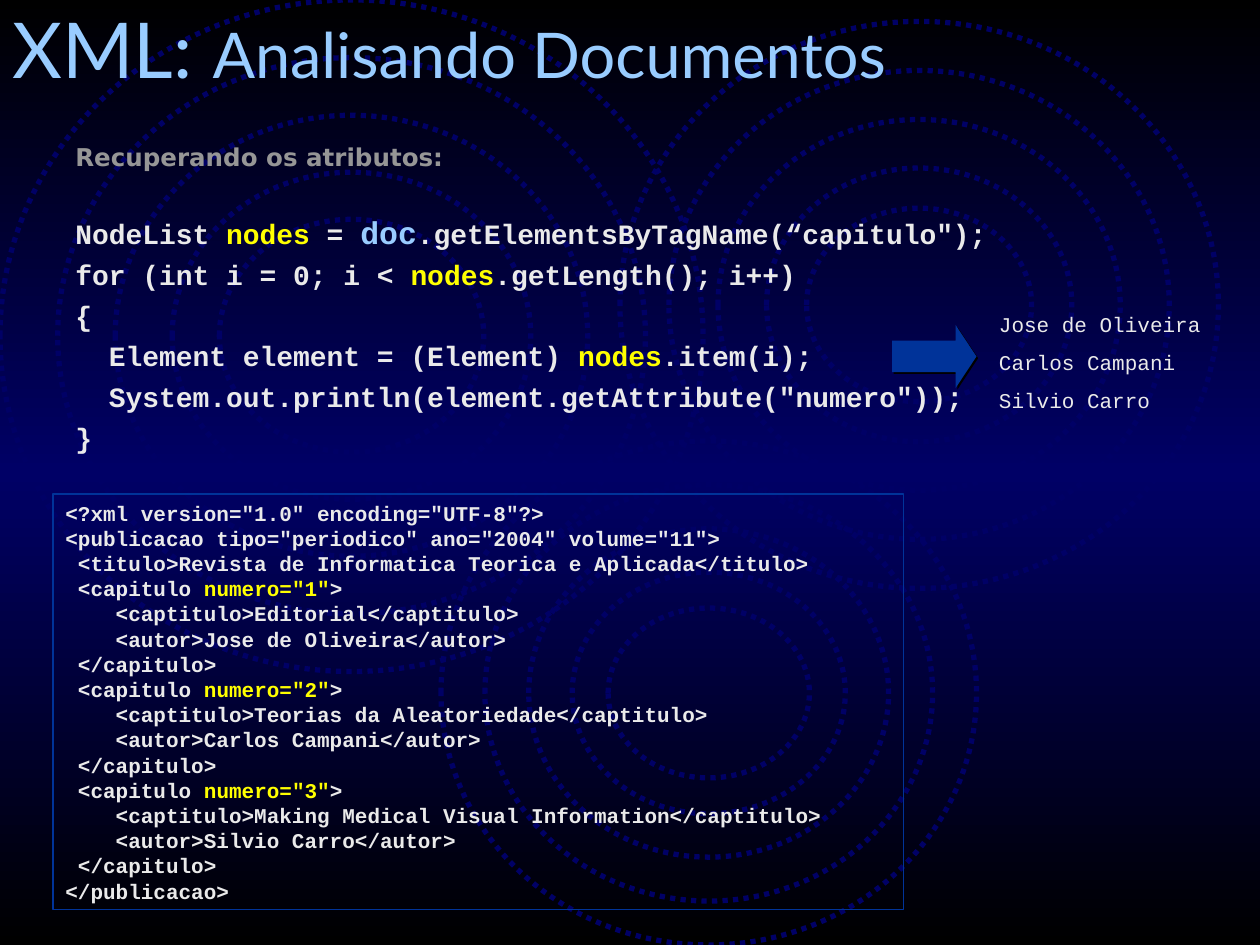
from copy import deepcopy

from lxml import etree
from pptx import Presentation
from pptx.dml.color import RGBColor
from pptx.enum.dml import MSO_LINE
from pptx.enum.shapes import MSO_SHAPE as SHAPE
from pptx.enum.text import MSO_ANCHOR, PP_ALIGN
from pptx.oxml.ns import qn
from pptx.util import Inches, Pt

NAVY, BLUE, SKY = "000066", "003399", "99CCFF"
WHITE, YELLOW, GRAY = "EAEAEA", "FFFF00", "969696"
MONO = "Courier New"


def rgb(value):
    return RGBColor.from_string(value)


def write_lines(tf, lines, size, bold=False, before=0, first_before=0):
    """Write code lines; text between bars is yellow, and doc is large and light blue."""
    for i, line in enumerate(lines):
        p = tf.paragraphs[0] if i == 0 and not tf.text else tf.add_paragraph()
        p.alignment = PP_ALIGN.LEFT
        p.space_before = Pt(before if i else first_before)
        p.line_spacing = Pt(size * 1.2)
        p.font.name, p.font.size, p.font.bold = MONO, Pt(size), bold
        p.font.color.rgb = rgb(WHITE)
        for j, part in enumerate(line.split("|")):
            r = p.add_run()
            r.text = part
            if part == "doc":
                r.font.size = Pt(18)
                r.font.color.rgb = rgb(SKY)
            elif j % 2:
                r.font.color.rgb = rgb(YELLOW)


prs = Presentation()
prs.slide_width, prs.slide_height = Inches(10), Inches(7.5)
s = prs.slides.add_slide(prs.slide_layouts[6])

# Background: black, navy in the middle, black
fill = s.background.fill
fill.gradient()
fill.gradient_angle = 270
stop_list = s.element.find(".//" + qn("a:gsLst"))
stop_list.append(deepcopy(stop_list[-1]))
for stop, color, position in zip(fill.gradient_stops, ("000000", NAVY, "000000"), (0, 0.5, 1)):
    stop.color.rgb = rgb(color)
    stop.position = position

# Concentric dotted rings, inset by a share of the outer width
for x, y, w, h in ((0, 0, 5.58, 5.33), (3.5, 3.5, 4.25, 4), (4.92, 0.17, 4.75, 4.5)):
    for share in (0, 0.082, 0.164, 0.245, 0.312):
        inset = w * share
        ring = s.shapes.add_shape(SHAPE.OVAL, Inches(x + inset), Inches(y + inset),
                                  Inches(w - 2 * inset), Inches(h - 2 * inset))
        ring.shadow.inherit = False
        ring.fill.background()
        ring.line.color.rgb = rgb(NAVY)
        ring.line.width = Pt(3)
        ring.line.dash_style = MSO_LINE.ROUND_DOT

# Title
tf = s.shapes.add_textbox(Inches(0), Inches(-0.04), Inches(9.33), Inches(0.84)).text_frame
tf.word_wrap = True
tf.vertical_anchor = MSO_ANCHOR.MIDDLE
p = tf.paragraphs[0]
p.font.name = "Lato"
p.font.color.rgb = rgb(SKY)
for text, size in (("XML: ", 44), ("Analisando Documentos", 36)):
    r = p.add_run()
    r.text = text
    r.font.size = Pt(size)

# Heading and Java code
tf = s.shapes.add_textbox(Inches(0.5), Inches(1.08), Inches(9.5), Inches(6.42)).text_frame
tf.word_wrap = True
p = tf.paragraphs[0]
p.text = "Recuperando os atributos:"
p.font.name, p.font.size, p.font.bold = "DejaVu Sans", Pt(14), True
p.font.color.rgb = rgb(GRAY)
write_lines(tf, [
    "NodeList |nodes| = |doc|.getElementsByTagName(“capitulo\");",
    "for (int i = 0; i < |nodes|.getLength(); i++)",
    "{",
    "  Element element = (Element) |nodes|.item(i);",
    "  System.out.println(element.getAttribute(\"numero\"));",
    "}",
], 16, bold=True, before=4, first_before=26)

# XML document
chapters = (("Editorial", "Jose de Oliveira"),
            ("Teorias da Aleatoriedade", "Carlos Campani"),
            ("Making Medical Visual Information", "Silvio Carro"))
xml_lines = [
    '<?xml version="1.0" encoding="UTF-8"?>',
    '<publicacao tipo="periodico" ano="2004" volume="11">',
    " <titulo>Revista de Informatica Teorica e Aplicada</titulo>",
]
for number, (title, author) in enumerate(chapters, 1):
    xml_lines += [
        f' <capitulo |numero="{number}"|>',
        f"    <captitulo>{title}</captitulo>",
        f"    <autor>{author}</autor>",
        " </capitulo>",
    ]
xml_lines.append("</publicacao>")

sp = s.shapes.add_shape(SHAPE.RECTANGLE, Inches(0.42), Inches(3.92), Inches(6.75), Inches(3.3))
sp.shadow.inherit = False
sp.fill.background()
sp.line.color.rgb = rgb(BLUE)
sp.line.width = Pt(0.75)
sp.text_frame.word_wrap = True
sp.text_frame.vertical_anchor = MSO_ANCHOR.TOP
write_lines(sp.text_frame, xml_lines, 12, bold=True)

# Program output
tf = s.shapes.add_textbox(Inches(7.83), Inches(2.42), Inches(1.83), Inches(0.91)).text_frame
tf.word_wrap = True
write_lines(tf, [author for title, author in chapters], 12, before=7.5)

# Arrow to the output, with a hard shadow
arrow = s.shapes.add_shape(SHAPE.RIGHT_ARROW, Inches(7.08), Inches(2.58), Inches(0.67), Inches(0.5))
arrow.adjustments[0], arrow.adjustments[1] = 0.5, 0.33
arrow.fill.solid()
arrow.fill.fore_color.rgb = rgb(BLUE)
arrow.line.fill.background()
arrow.shadow.inherit = False
effects = arrow.element.spPr.find(qn("a:effectLst"))
shadow = etree.SubElement(effects, qn("a:outerShdw"), dist=str(Pt(1.4)), dir="2700000", algn="ctr")
etree.SubElement(shadow, qn("a:srgbClr"), val="000000")

prs.save("out.pptx")
